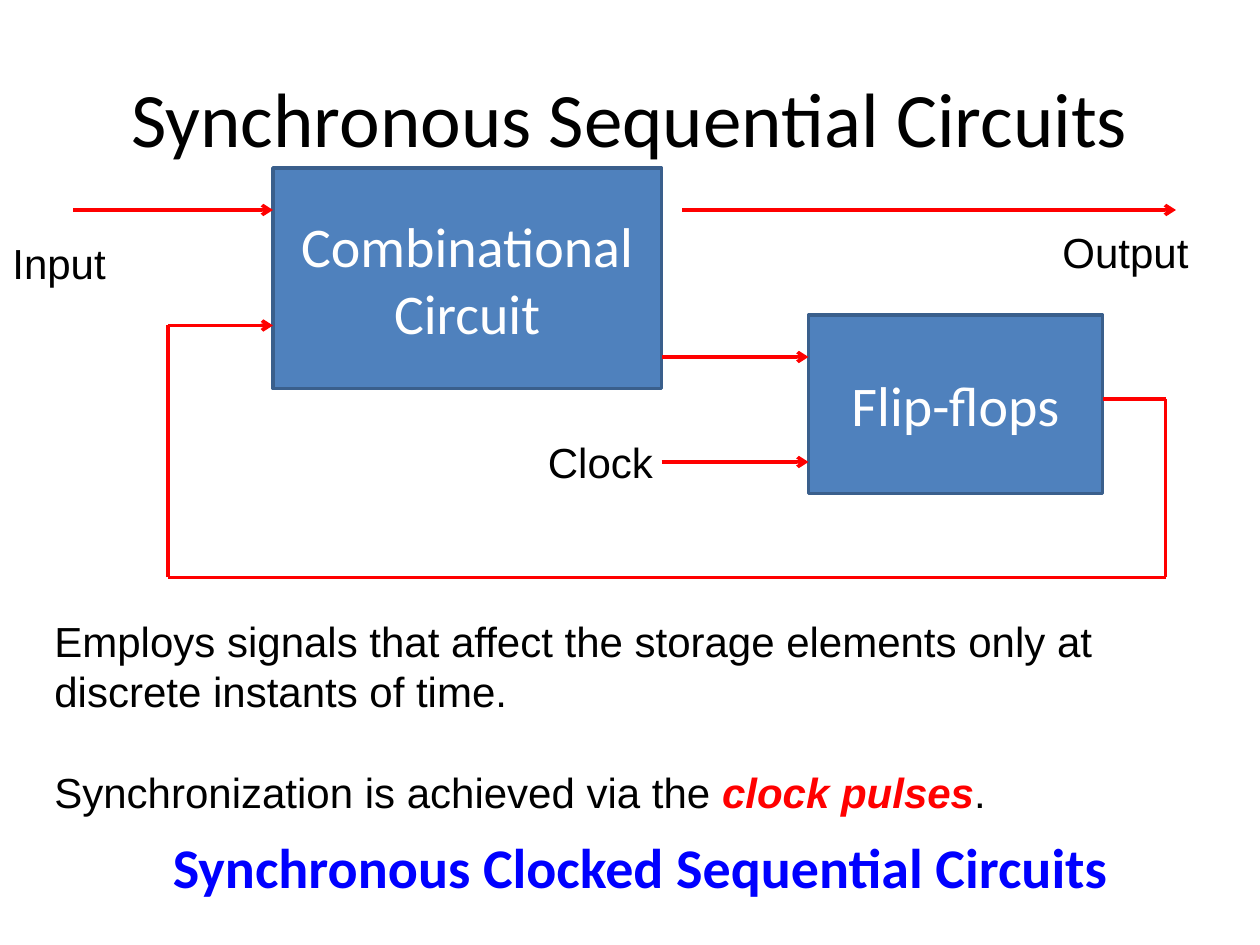
from itertools import pairwise

from lxml.etree import SubElement
from pptx import Presentation
from pptx.dml.color import RGBColor
from pptx.enum.shapes import MSO_CONNECTOR, MSO_SHAPE
from pptx.enum.text import MSO_ANCHOR, PP_ALIGN
from pptx.oxml.ns import qn
from pptx.util import Pt

BLACK = RGBColor(0x00, 0x00, 0x00)
WHITE = RGBColor(0xFF, 0xFF, 0xFF)
RED = RGBColor(0xFF, 0x00, 0x00)
BLUE = RGBColor(0x00, 0x00, 0xFF)
BLOCK_FILL = RGBColor(0x4F, 0x81, 0xBD)
BLOCK_EDGE = RGBColor(0x3A, 0x5F, 0x8C)


def add_span(para, text, font="Arial", size=24, color=BLACK, bold=False, italic=False):
    span = para.add_run()
    span.text = text
    span.font.name = font
    span.font.size = Pt(size)
    span.font.color.rgb = color
    span.font.bold = bold
    span.font.italic = italic


def add_text(page, left, top, width, height, text, centered=False, **style):
    """Add a text box and return its frame; centred text is also anchored in the middle."""
    box = page.shapes.add_textbox(Pt(left), Pt(top), Pt(width), Pt(height))
    frame = box.text_frame
    frame.word_wrap = True
    para = frame.paragraphs[0]
    if centered:
        frame.vertical_anchor = MSO_ANCHOR.MIDDLE
        para.alignment = PP_ALIGN.CENTER
    add_span(para, text, **style)
    return frame


def add_block(page, left, top, width, height, text):
    block = page.shapes.add_shape(
        MSO_SHAPE.RECTANGLE, Pt(left), Pt(top), Pt(width), Pt(height))
    block.shadow.inherit = False
    block.fill.solid()
    block.fill.fore_color.rgb = BLOCK_FILL
    block.line.color.rgb = BLOCK_EDGE
    block.line.width = Pt(2)
    frame = block.text_frame
    frame.word_wrap = True
    frame.vertical_anchor = MSO_ANCHOR.MIDDLE
    para = frame.paragraphs[0]
    para.alignment = PP_ALIGN.CENTER
    add_span(para, text, font="Calibri", size=32, color=WHITE)


def add_wire(page, start, end, arrow=False):
    wire = page.shapes.add_connector(
        MSO_CONNECTOR.STRAIGHT, *(Pt(value) for value in (*start, *end)))
    wire.line.color.rgb = RED
    wire.line.width = Pt(2)
    if arrow:
        SubElement(wire.line._get_or_add_ln(), qn("a:tailEnd"), type="arrow")
    SubElement(wire._element.spPr, qn("a:effectLst"))


def add_feedback(page, points):
    """Join the points by wires, the last of which carries the arrowhead."""
    for start, end in pairwise(points):
        add_wire(page, start, end, arrow=end == points[-1])


def add_explanation(page):
    frame = add_text(
        page, 24, 348, 672, 124,
        "Employs signals that affect the storage elements only at discrete instants of time.")
    para = frame.add_paragraph()
    para.space_before = Pt(28.8)
    add_span(para, "Synchronization is achieved via the ")
    add_span(para, "clock pulses", color=RED, bold=True, italic=True)
    add_span(para, ".")


def main():
    deck = Presentation()
    deck.slide_width, deck.slide_height = Pt(720), Pt(540)
    page = deck.slides.add_slide(deck.slide_layouts[6])

    add_text(page, 36, 21.6, 648, 90, "Synchronous Sequential Circuits",
             centered=True, font="Calibri", size=44)
    add_explanation(page)

    add_block(page, 462, 180, 168, 102, "Flip-flops")
    add_block(page, 156, 96, 222, 126, "Combinational Circuit")

    for left, right, height in ((42, 156, 120), (390, 672, 120),
                                (378, 462, 204), (378, 462, 264)):
        add_wire(page, (left, height), (right, height), arrow=True)
    add_feedback(page, [(630, 228), (666, 228), (666, 330),
                        (96, 330), (96, 186), (156, 186)])

    for text, left, top in (("Clock", 306, 246), ("Input", 0, 132), ("Output", 600, 126)):
        add_text(page, left, top, 90, 36, text)
    add_text(page, 42, 450, 648, 90, "Synchronous Clocked Sequential Circuits",
             centered=True, font="Calibri", size=32, color=BLUE, bold=True)

    deck.save("out.pptx")


if __name__ == "__main__":
    main()
